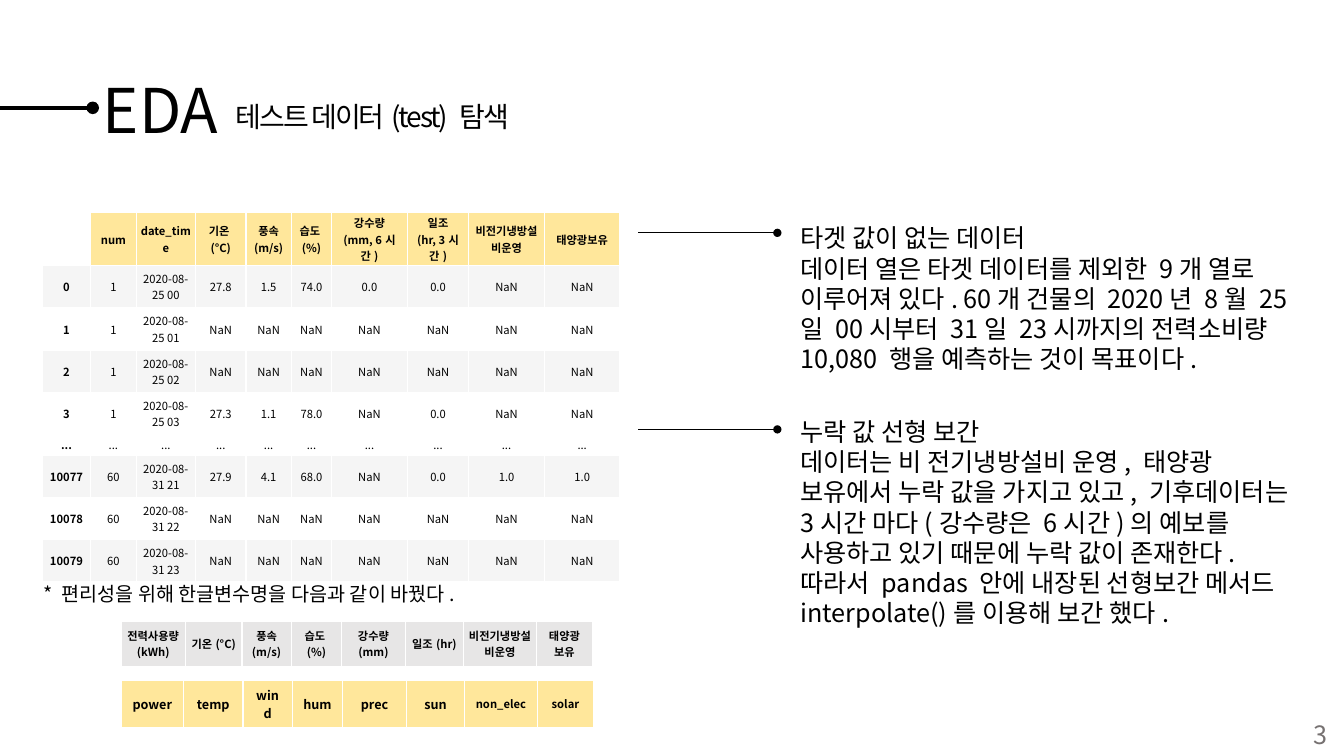
from dataclasses import dataclass

from lxml import etree
from pptx import Presentation
from pptx import util as u
from pptx.dml.color import RGBColor
from pptx.enum import shapes, text
from pptx.oxml import ns

PX = 9144  # 100 px to the inch
FONT = "Noto Sans CJK KR"
INK = {
    "black": "000000",
    "white": "FFFFFF",
    "gold": "FFE79B",
    "pale": "F5F5F5",
    "grey": "E7E6E6",
    "page": "767171",
}


@dataclass
class Box:
    x: int
    y: int
    w: int
    h: int

    def emu(self) -> tuple:
        return tuple(n * PX for n in (self.x, self.y, self.w, self.h))


@dataclass
class Grid:
    box: Box
    cols: list
    highs: list
    rows: list
    fills: list
    tight: int = 0  # first column with small text and narrow margins


@dataclass
class Rule:
    x: int
    y: int
    end: int
    width: float


@dataclass
class Note:
    box: Box
    words: str
    size: int = 18
    color: str = "black"


def tag(parent, name: str, **attrs):
    return etree.SubElement(parent, ns.qn(name), **attrs)


def write(frame, words: str, *, size: int, color: str = "black", bold: bool = False,
          align=text.PP_ALIGN.LEFT, lead: float = 1.0, track: int = 0) -> None:
    """Fill a text frame, one paragraph to a line of words."""
    frame.word_wrap = True
    for i, line in enumerate(words.split("\n")):
        para = frame.add_paragraph() if i else frame.paragraphs[0]
        para.alignment = align
        para.line_spacing = lead
        para.space_before = u.Pt(0)
        run = para.add_run()
        run.text = line
        font = run.font
        font.size, font.bold, font.name = u.Pt(size), bold, FONT
        font.color.rgb = RGBColor.from_string(INK[color])
        props = font._element
        tag(props, "a:ea", typeface=FONT)
        if track:
            props.set("spc", str(track))


def edge(cell) -> None:
    """Give a cell white borders of one point."""
    props = cell._tc.get_or_add_tcPr()
    for i, side in enumerate(("a:lnL", "a:lnR", "a:lnT", "a:lnB")):
        line = tag(props, side, w=str(u.Pt(1)))
        tag(tag(line, "a:solidFill"), "a:srgbClr", val=INK["white"])
        props.insert(i, line)


def draw_grid(slide, grid: Grid) -> None:
    table = slide.shapes.add_table(len(grid.rows), len(grid.cols), *grid.box.emu()).table
    table.first_row = table.horz_banding = False
    for col, wide in zip(table.columns, grid.cols):
        col.width = wide * PX
    for r, (row, values) in enumerate(zip(table.rows, grid.rows)):
        row.height = grid.highs[r] * PX
        for c, (cell, value) in enumerate(zip(row.cells, values)):
            small = c >= grid.tight
            across, down = (4, 2) if small else (10, 5)
            cell.margin_left = cell.margin_right = across * PX
            cell.margin_top = cell.margin_bottom = down * PX
            cell.vertical_anchor = text.MSO_ANCHOR.MIDDLE
            write(cell.text_frame, value, size=8 if small else 9,
                  bold=r == 0 or c == 0, align=text.PP_ALIGN.CENTER)
            if grid.fills[r] and value:
                cell.fill.solid()
                cell.fill.fore_color.rgb = RGBColor.from_string(INK[grid.fills[r]])
            else:
                cell.fill.background()
            edge(cell)


def draw_rule(slide, rule: Rule) -> None:
    line = slide.shapes.add_connector(
        shapes.MSO_CONNECTOR.STRAIGHT,
        rule.x * PX, rule.y * PX, rule.end * PX, rule.y * PX)
    line.line.color.rgb = RGBColor.from_string(INK["black"])
    line.line.width = u.Pt(rule.width)
    props = line._element.spPr
    tag(props.find(ns.qn("a:ln")), "a:tailEnd", type="oval")
    tag(props, "a:effectLst")


def draw_note(slide, note: Note) -> None:
    frame = slide.shapes.add_textbox(*note.box.emu()).text_frame
    write(frame, note.words, size=note.size, color=note.color)
    frame.auto_size = text.MSO_AUTO_SIZE.SHAPE_TO_FIT_TEXT


def place(shape, box: Box) -> None:
    shape.left, shape.top, shape.width, shape.height = box.emu()
    shape.text_frame.auto_size = text.MSO_AUTO_SIZE.NONE


NAN = ["NaN"]
DATA = Grid(
    Box(42, 211, 572, 351), [48, 45, 59, 50, 45, 40, 75, 61, 75, 75],
    [42] * 5 + [17] + [42] * 3,
    [
        ["", "num", "date_time", "기온(°C)", "풍속\n(m/s)", "습도(%)", "강수량\n(mm, 6시간)",
         "일조\n(hr, 3시간)", "비전기냉방설비운영", "태양광보유"],
        ["0", "1", "2020-08-25 00", "27.8", "1.5", "74.0", "0.0", "0.0", "NaN", "NaN"],
        ["1", "1", "2020-08-25 01"] + NAN * 7,
        ["2", "1", "2020-08-25 02"] + NAN * 7,
        ["3", "1", "2020-08-25 03", "27.3", "1.1", "78.0", "NaN", "0.0", "NaN", "NaN"],
        ["..."] * 10,
        ["10077", "60", "2020-08-31 21", "27.9", "4.1", "68.0", "NaN", "0.0", "1.0", "1.0"],
        ["10078", "60", "2020-08-31 22"] + NAN * 7,
        ["10079", "60", "2020-08-31 23"] + NAN * 7,
    ],
    ["gold", "pale", "", "pale", "", "", "pale", "", "pale"])
NAMES = Grid(
    Box(120, 616, 468, 45), [64, 56, 49, 50, 63, 58, 72, 56], [45],
    [["전력사용량\n(kWh)", "기온(°C)", "풍속\n(m/s)", "습도(%)", "강수량\n(mm)", "일조(hr)",
      "비전기냉방설비운영", "태양광\n보유"]], ["grey"])
KEYS = Grid(
    Box(120, 675, 468, 45), [62, 59, 49, 50, 63, 58, 72, 56], [45],
    [["power", "temp", "wind", "hum", "prec", "sun", "non_elec", "solar"]],
    ["gold"], tight=6)

RULES = [Rule(0, 107, 92, 3), Rule(633, 231, 771, 0.5), Rule(633, 426, 771, 0.5)]

NOTES = [
    Note(Box(784, 216, 524, 162),
         "타겟 값이 없는 데이터\n"
         "데이터 열은 타겟 데이터를 제외한 9개 열로\n"
         "이루어져 있다. 60개 건물의 2020년 8월 25일 00시부터 31일 23시까지의 "
         "전력소비량 10,080 행을 예측하는 것이 목표이다."),
    Note(Box(784, 408, 524, 222),
         "누락 값 선형 보간\n"
         "데이터는 비 전기냉방설비 운영, 태양광 보유에서 누락 값을 가지고 있고, "
         "기후데이터는 3시간 마다(강수량은 6시간)의 예보를 사용하고 있기 때문에 "
         "누락 값이 존재한다. 따라서 pandas 안에 내장된 선형보간 메서드 "
         "interpolate()를 이용해 보간 했다."),
    Note(Box(33, 572, 667, 34), "* 편리성을 위해 한글변수명을 다음과 같이 바꿨다.", 14),
    Note(Box(1293, 709, 57, 41), "3", color="page"),
]


def main() -> None:
    deck = Presentation()
    deck.slide_width, deck.slide_height = 1333 * PX, 750 * PX
    slide = deck.slides.add_slide(deck.slide_layouts[1])

    # Title and subtitle
    title, body = slide.placeholders
    place(title, Box(92, 40, 1150, 145))
    title.text_frame.vertical_anchor = text.MSO_ANCHOR.MIDDLE
    write(title.text_frame, "EDA", size=44, lead=0.9)
    place(body, Box(224, 97, 291, 46))
    write(body.text_frame, "테스트 데이터(test) 탐색", size=20, lead=0.9, track=-150)
    props = body.text_frame.paragraphs[0]._p.get_or_add_pPr()
    props.set("marL", "0")
    props.set("indent", "0")
    tag(props, "a:buNone")

    # Tables, pointers and notes
    for grid in (DATA, NAMES, KEYS):
        draw_grid(slide, grid)
    for rule in RULES:
        draw_rule(slide, rule)
    for note in NOTES:
        draw_note(slide, note)

    deck.save("out.pptx")


if __name__ == "__main__":
    main()
